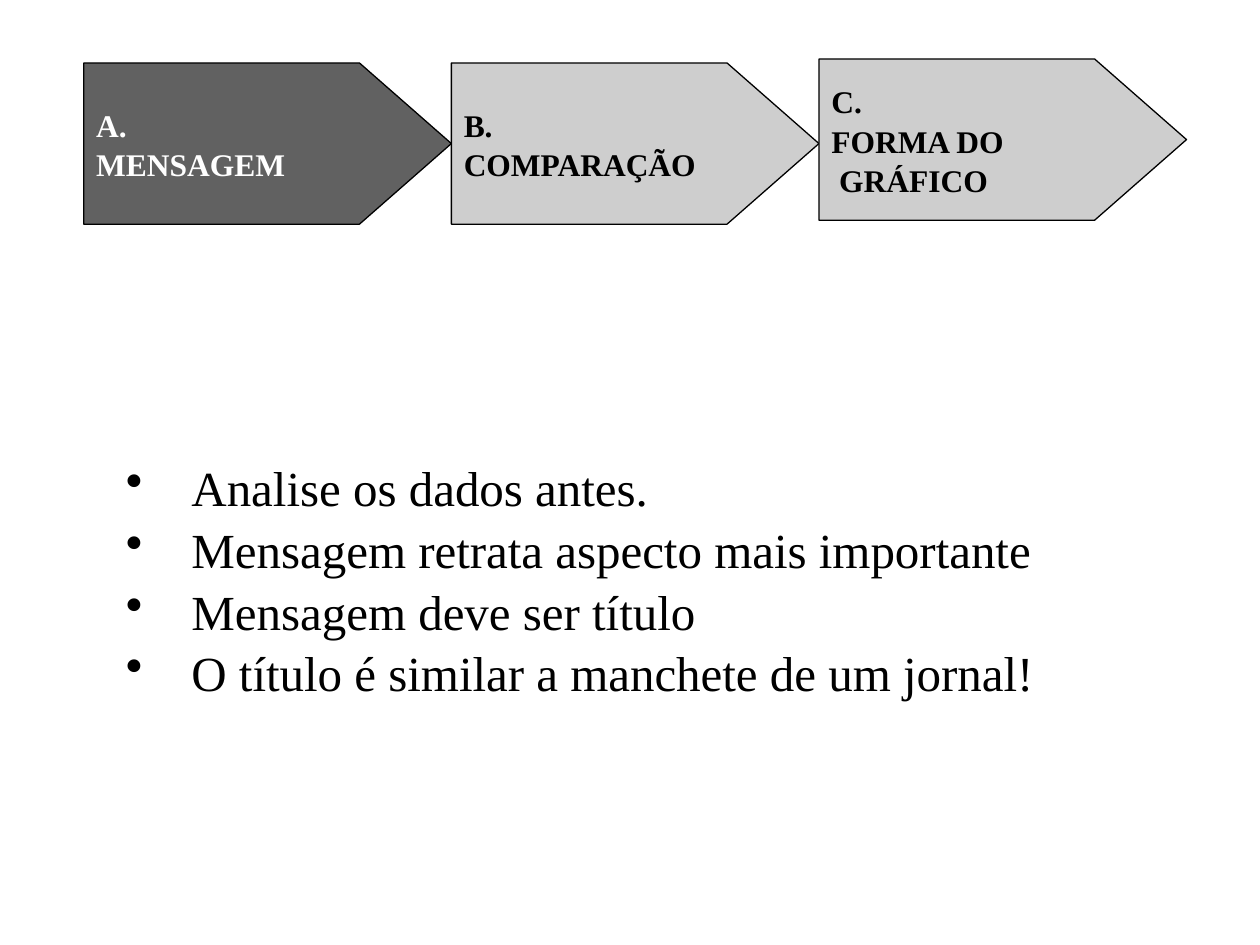
from pptx import Presentation
from pptx.dml.color import RGBColor
from pptx.enum.shapes import MSO_SHAPE as Shape
from pptx.enum.text import MSO_ANCHOR as Anchor, PP_ALIGN as Align
from pptx.oxml.ns import qn
from pptx.util import Cm, Pt
from lxml.etree import SubElement

COLOURS = {"active": "616161", "idle": "CECECE", "dark": "000000", "light": "FFFFFF"}
FONT = "Times New Roman"
STEP_LEFT, STEP_WIDTH, STEP_HEIGHT = 1.69, 7.41, 3.25
STEPS = [
    (1.27, "active", "light", ["A.", "MENSAGEM"]),
    (1.27, "idle", "dark", ["B.", "COMPARAÇÃO"]),
    (1.19, "idle", "dark", ["C.", "FORMA DO", " GRÁFICO"]),
]
ADVICE = [
    "Analise os dados antes.",
    "Mensagem retrata aspecto mais importante",
    "Mensagem deve ser título",
    "O título é similar a manchete de um jornal!",
]


def colour(name):
    return RGBColor.from_string(COLOURS[name])


def apply_format(target, values):
    for name, value in values.items():
        setattr(target, name, value)


def add_bullet(para, indent):
    properties = para._p.get_or_add_pPr()
    properties.set("marL", str(indent))
    properties.set("indent", str(-indent))
    SubElement(properties, qn("a:buChar")).set("char", "•")


def write_lines(frame, lines, size, ink, bold=False, bullet_indent=None):
    for index, line in enumerate(lines):
        para = frame.paragraphs[0] if index == 0 else frame.add_paragraph()
        para.text = line
        apply_format(para, {"alignment": Align.LEFT, "line_spacing": 1.05})
        if bullet_indent is not None:
            add_bullet(para, bullet_indent)
        apply_format(para.font, {"name": FONT, "size": Pt(size), "bold": bold})
        para.font.color.rgb = colour(ink)


def add_step(page, left, top, fill, ink, lines):
    step = page.shapes.add_shape(
        Shape.PENTAGON, Cm(left), Cm(top), Cm(STEP_WIDTH), Cm(STEP_HEIGHT)
    )
    step.adjustments[0] = 0.57
    step.shadow.inherit = False
    step.fill.solid()
    step.fill.fore_color.rgb = colour(fill)
    step.line.color.rgb = colour("dark")
    step.line.width = Pt(0.75)
    apply_format(step.text_frame, {"word_wrap": True, "vertical_anchor": Anchor.MIDDLE})
    write_lines(step.text_frame, lines, 18, ink, bold=True)


def add_advice(page):
    box = page.shapes.add_textbox(Cm(2.29), Cm(9.04), Cm(21.41), Cm(5))
    box.text_frame.word_wrap = True
    write_lines(box.text_frame, ADVICE, 28, "dark", bullet_indent=Cm(1.32))


def main():
    deck = Presentation()
    apply_format(deck, {"slide_width": Cm(25.4), "slide_height": Cm(19.05)})
    page = deck.slides.add_slide(deck.slide_layouts[6])
    for index, step in enumerate(STEPS):
        add_step(page, STEP_LEFT + index * STEP_WIDTH, *step)
    add_advice(page)
    deck.save("out.pptx")


if __name__ == "__main__":
    main()
